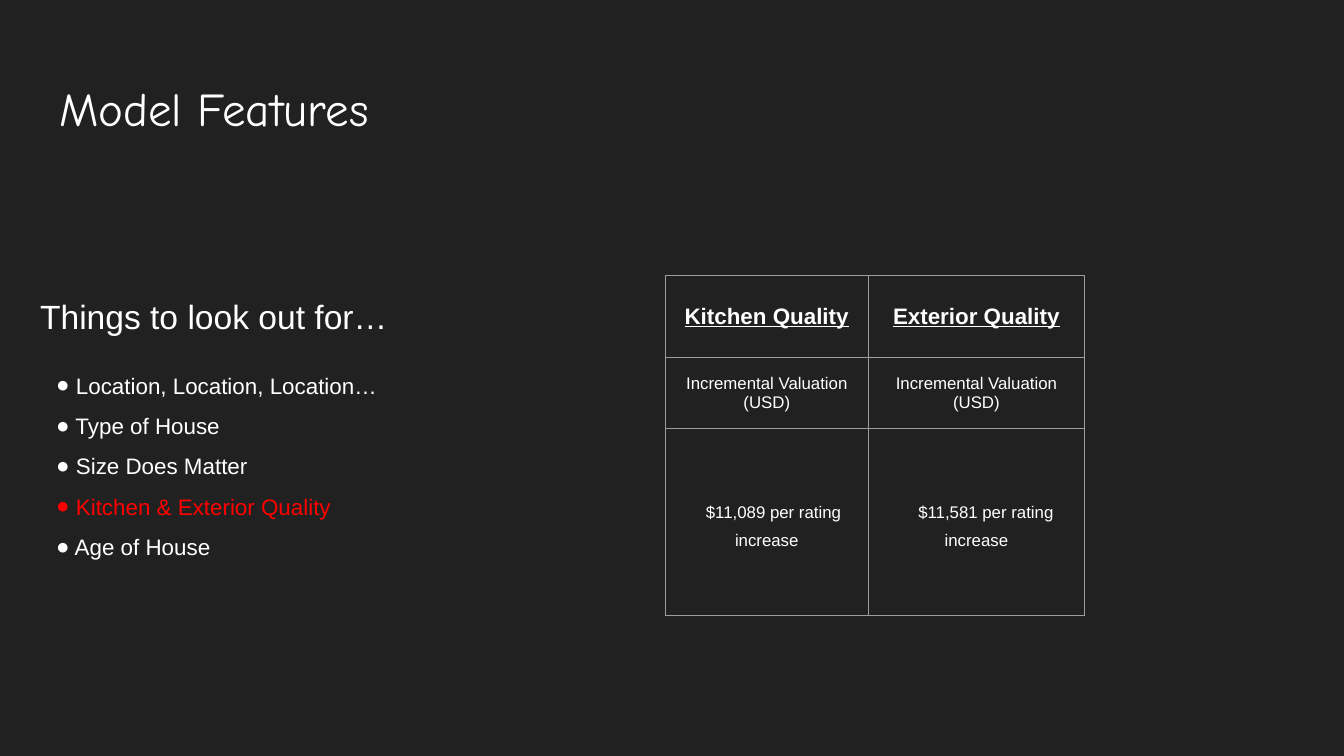
"""Build the Model Features slide with a checklist and a quality table."""
from lxml import etree
from pptx import Presentation
from pptx import util as u
from pptx.dml.color import RGBColor
from pptx.enum import text as t
from pptx.oxml import ns

WHITE, RED, GREY = "FFFFFF", "FF0000", "9E9E9E"


def write(para, words, size, color=WHITE, font="Arial"):
    run = para.add_run()
    run.text = words
    run.font.size = u.Pt(size)
    run.font.name = font
    run.font.color.rgb = RGBColor.from_string(color)
    return run


def node(parent, tag, **attrs):
    return etree.SubElement(parent, ns.qn(tag), attrs)


prs = Presentation()
prs.slide_width = u.Inches(10)
prs.slide_height = prs.slide_width * 9 // 16
slide = prs.slides.add_slide(prs.slide_layouts[5])
slide.background.fill.solid()
slide.background.fill.fore_color.rgb = RGBColor.from_string("212121")

title = slide.shapes.title
title.left, title.top = u.Inches(0.34), u.Inches(0.49)
title.width, title.height = u.Inches(9.32), u.Inches(0.63)
title.text_frame.vertical_anchor = t.MSO_ANCHOR.TOP
body = slide.shapes.add_textbox(
    u.Inches(0.2), u.Inches(1.3), u.Inches(2.89), u.Inches(3.72))
body.text_frame.vertical_anchor = t.MSO_ANCHOR.MIDDLE
for frame in (title.text_frame, body.text_frame):
    frame.word_wrap = True
    frame.auto_size = t.MSO_AUTO_SIZE.NONE
    frame.margin_left = frame.margin_right = u.Inches(0.1)
    frame.margin_top = frame.margin_bottom = u.Inches(0.1)

head = title.text_frame.paragraphs[0]
head.alignment = t.PP_ALIGN.LEFT
write(head, "Model Features", 25.2, font="Comic Neue")

lead = body.text_frame.paragraphs[0]
lead.line_spacing = 1.15
write(lead, "Things to look out for…", 18)
items = [
    ("Location, Location, Location…", WHITE),
    ("Type of House", WHITE),
    ("Size Does Matter", WHITE),
    ("Kitchen & Exterior Quality", RED),
    ("Age of House", WHITE),
]
for i, (words, color) in enumerate(items):
    para = body.text_frame.add_paragraph()
    para.line_spacing = 1.5
    para.space_before = u.Pt(0 if i else 12)
    props = para._p.get_or_add_pPr()
    props.set("marL", str(u.Inches(0.2)))
    props.set("indent", str(u.Inches(-0.08)))
    node(node(props, "a:buClr"), "a:srgbClr", val=color)
    node(props, "a:buFont", typeface="Arial")
    node(props, "a:buChar", char="●")
    write(para, " " + words, 12, color)

cols = [1.51, 1.61]
rows = [0.61, 0.53, 0.64, 0.64, 0.11]
table = slide.shapes.add_table(
    len(rows), len(cols), u.Inches(4.95), u.Inches(2.05),
    u.Inches(sum(cols)), u.Inches(sum(rows))).table
table.first_row = table.horz_banding = False
for col, width in zip(table.columns, cols):
    col.width = u.Inches(width)
for row, height in zip(table.rows, rows):
    row.height = u.Inches(height)
for cell in table.iter_cells():
    cell.vertical_anchor = t.MSO_ANCHOR.MIDDLE
    cell.margin_left = cell.margin_right = u.Inches(0.1)
    cell.margin_top = cell.margin_bottom = u.Inches(0.1)
    for side in "LRTB":
        line = node(cell._tc.get_or_add_tcPr(), f"a:ln{side}", w=str(u.Pt(0.75)))
        node(node(line, "a:solidFill"), "a:srgbClr", val=GREY)
    cell.fill.background()

facts = [("Kitchen Quality", "$11,089", 0.1), ("Exterior Quality", "$11,581", 0.14)]
for c, (name, price, indent) in enumerate(facts):
    table.cell(2, c).merge(table.cell(4, c))
    texts = [name, "Incremental Valuation (USD)", f"{price} per rating increase"]
    for r, words in enumerate(texts):
        para = table.cell(r, c).text_frame.paragraphs[0]
        para.alignment = t.PP_ALIGN.CENTER
        run = write(para, words, 9 if r else 12)
        run.font.bold = run.font.underline = r == 0
    para.line_spacing = 1.5
    para.space_after = u.Pt(12)
    para._p.get_or_add_pPr().set("indent", str(u.Inches(indent)))

prs.save("out.pptx")
